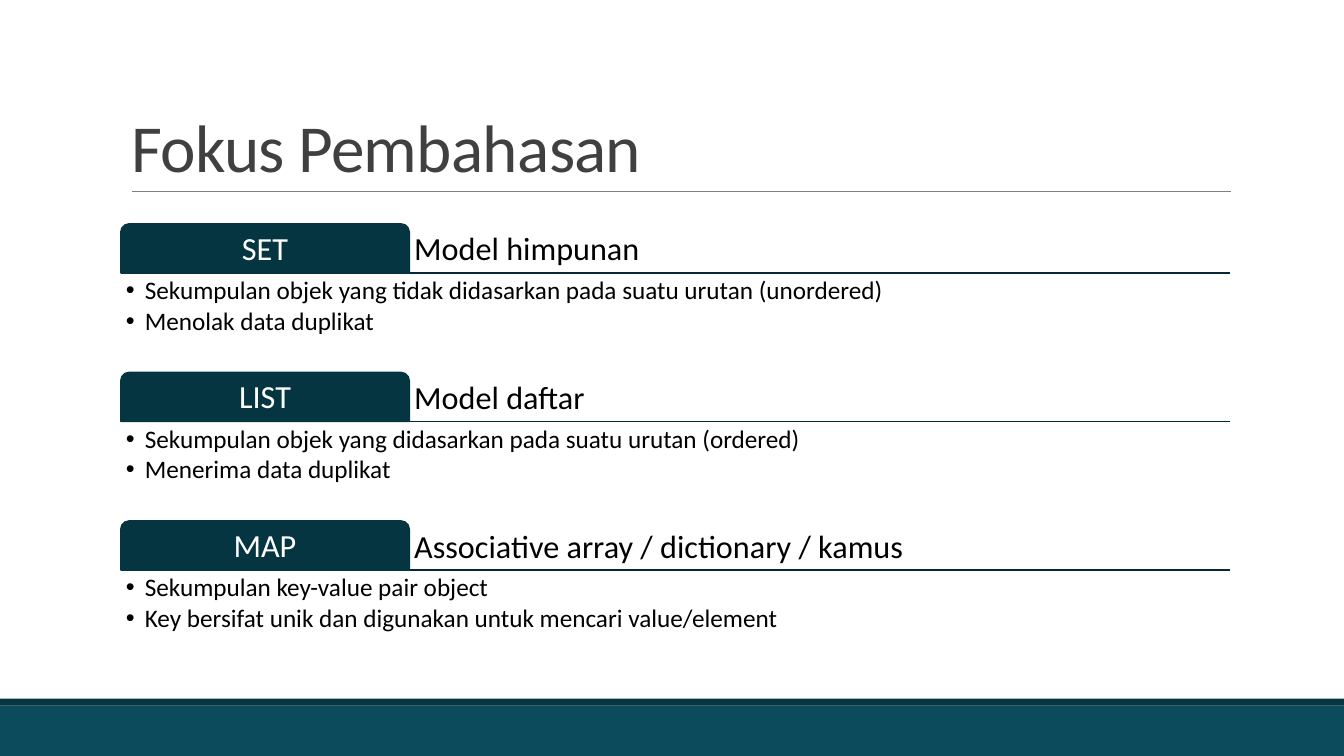
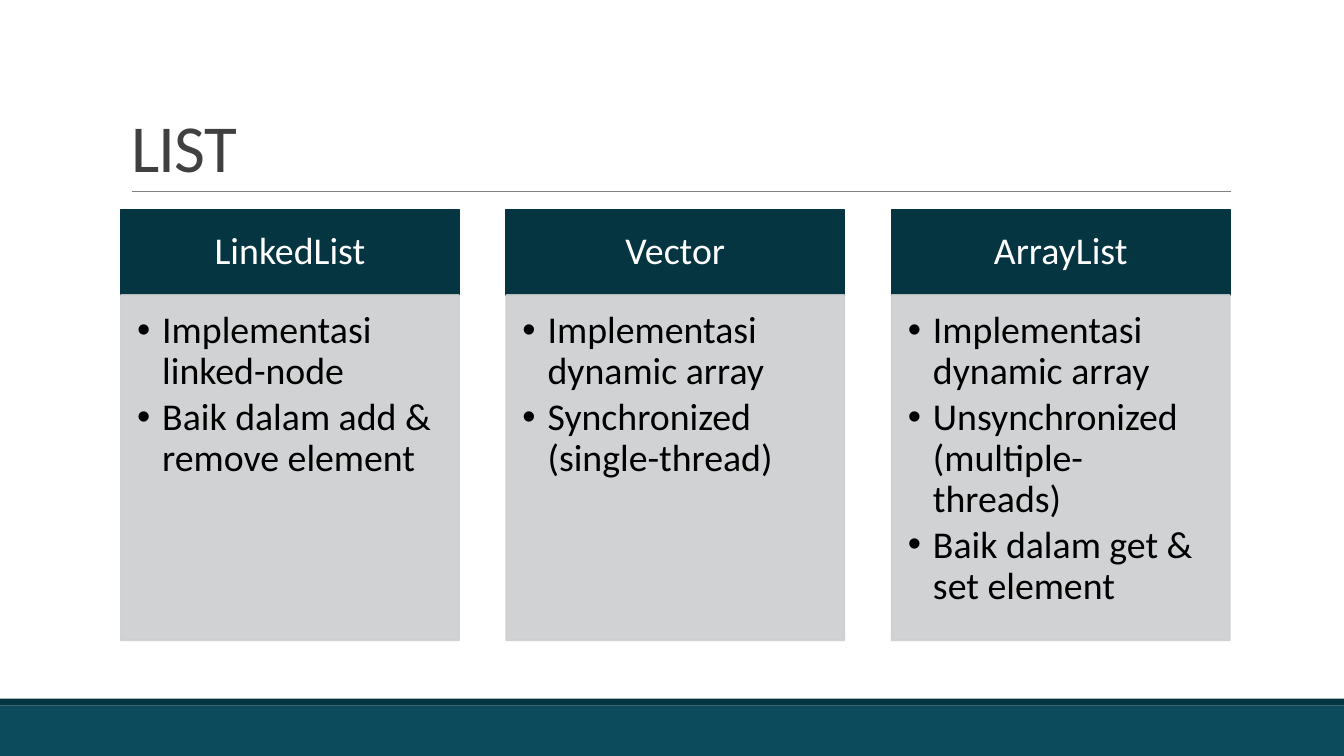
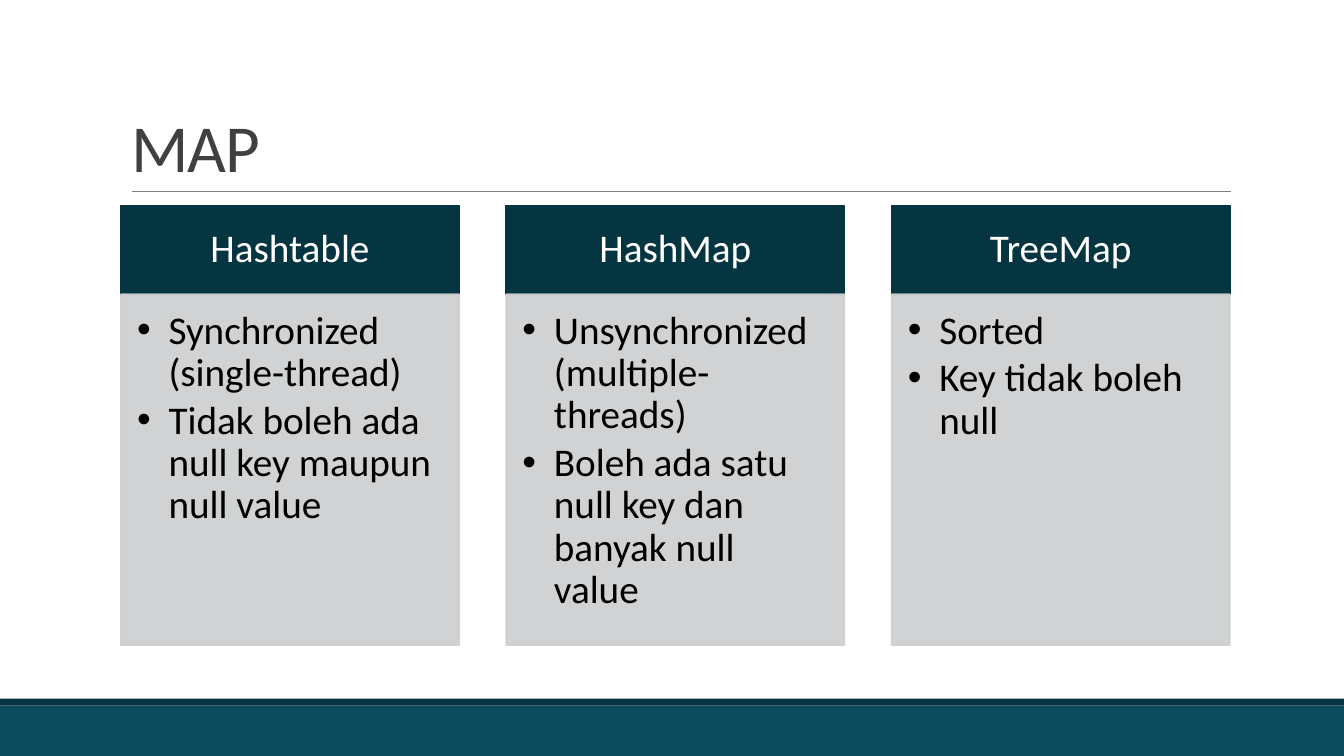
"""Build three slides about sets, lists and maps with python-pptx."""
from dataclasses import dataclass

from lxml import etree
from pptx import Presentation
from pptx.dml.color import RGBColor
from pptx.enum.shapes import MSO_CONNECTOR, MSO_SHAPE
from pptx.enum.text import MSO_ANCHOR, MSO_AUTO_SIZE, PP_ALIGN
from pptx.oxml.ns import qn
from pptx.util import Pt

RECTANGLE = MSO_SHAPE.RECTANGLE
TAB = MSO_SHAPE.ROUND_2_SAME_RECTANGLE
STRAIGHT = MSO_CONNECTOR.STRAIGHT
TOP, MIDDLE, BOTTOM = MSO_ANCHOR.TOP, MSO_ANCHOR.MIDDLE, MSO_ANCHOR.BOTTOM
LEFT, CENTER = PP_ALIGN.LEFT, PP_ALIGN.CENTER
NO_AUTOFIT = MSO_AUTO_SIZE.NONE

COLORS = {
    "band": "0C4B5C",
    "dark": "063542",
    "section_line": "052A35",
    "rule": "808080",
    "title": "404040",
    "panel": "CCCECF",
    "text": "000000",
    "light": "FFFFFF",
}
FONT = "Calibri"
SLIDE_WIDTH, SLIDE_HEIGHT = 960, 540
CONTENT_LEFT, CONTENT_WIDTH = 86.4, 792
TAB_WIDTH, TAB_HEIGHT = 205.92, 34.9
SECTION_TOP, SECTION_PITCH = 160, 106.1
GAP_RATIO = 0.14
COLUMN_COUNT = 3
COLUMN_WIDTH = CONTENT_WIDTH / (COLUMN_COUNT + (COLUMN_COUNT - 1) * GAP_RATIO)
COLUMN_PITCH = COLUMN_WIDTH * (1 + GAP_RATIO)


@dataclass
class Section:
    """A tab with its heading and bullet points."""
    name: str
    heading: str
    points: list[str]


@dataclass
class Column:
    """A header with the bullet points below it."""
    name: str
    points: list[str]


@dataclass
class ColumnSlide:
    """A slide of equal columns and its measurements."""
    title: str
    top: float
    header_height: float
    body_height: float
    size: float
    hanging: float
    side_inset: float
    columns: list[Column]


SECTIONS = [
    Section("SET", "Model himpunan", [
        "Sekumpulan objek yang tidak didasarkan pada suatu urutan (unordered)",
        "Menolak data duplikat"]),
    Section("LIST", "Model daftar", [
        "Sekumpulan objek yang didasarkan pada suatu urutan (ordered)",
        "Menerima data duplikat"]),
    Section("MAP", "Associative array / dictionary / kamus", [
        "Sekumpulan key-value pair object",
        "Key bersifat unik dan digunakan untuk mencari value/element"]),
]

COLUMN_SLIDES = [
    ColumnSlide("LIST", 149.6, 61.2, 246.6, 27, 18, 15.1, [
        Column("LinkedList", ["Implementasi linked-node",
                              "Baik dalam add & remove element"]),
        Column("Vector", ["Implementasi dynamic array",
                          "Synchronized (single-thread)"]),
        Column("ArrayList", ["Implementasi dynamic array",
                             "Unsynchronized (multiple-threads)",
                             "Baik dalam get & set element"])]),
    ColumnSlide("MAP", 146.8, 63.4, 250.6, 28, 22.5, 15.7, [
        Column("Hashtable", ["Synchronized (single-thread)",
                             "Tidak boleh ada null key maupun null value"]),
        Column("HashMap", ["Unsynchronized (multiple-threads)",
                           "Boleh ada satu null key dan banyak null value"]),
        Column("TreeMap", ["Sorted", "Key tidak boleh null"])]),
]


def write_text(shape, lines: list[str], *, size: float, color: str = "text",
               align=LEFT, anchor=TOP, insets=(3.6, 3.6, 3.6, 3.6),
               line_spacing: float = 0.9, hanging: float = 0,
               tracking: float = 0) -> None:
    """Fill a shape with paragraphs, bulleted where a hanging indent is given."""
    frame = shape.text_frame
    frame.word_wrap = True
    frame.auto_size = NO_AUTOFIT
    frame.vertical_anchor = anchor
    (frame.margin_left, frame.margin_top,
     frame.margin_right, frame.margin_bottom) = map(Pt, insets)
    for index, line in enumerate(lines):
        paragraph = frame.add_paragraph() if index else frame.paragraphs[0]
        paragraph.alignment = align
        paragraph.line_spacing = line_spacing
        run = paragraph.add_run()
        run.text = line
        run.font.name = FONT
        run.font.size = Pt(size)
        run.font.color.rgb = RGBColor.from_string(COLORS[color])
        if tracking:
            run.font._element.set("spc", str(round(tracking * 100)))
        if hanging:
            paragraph.space_after = Pt(round(size * 0.135, 1))
            properties = paragraph._p.get_or_add_pPr()
            properties.set("marL", str(Pt(hanging)))
            properties.set("indent", str(-Pt(hanging)))
            etree.SubElement(properties, qn("a:buFont")).set("typeface", "Arial")
            etree.SubElement(properties, qn("a:buChar")).set("char", "•")


def add_box(slide, left: float, top: float, width: float, height: float,
            color: str, *, kind=RECTANGLE, outlined: bool = True,
            opacity: int = 100):
    """Add a filled shape, outlined in its own colour if asked."""
    shape = slide.shapes.add_shape(kind, Pt(left), Pt(top), Pt(width), Pt(height))
    shape.shadow.inherit = False
    shape.fill.solid()
    shape.fill.fore_color.rgb = RGBColor.from_string(COLORS[color])
    if outlined:
        shape.line.color.rgb = RGBColor.from_string(COLORS[color])
        shape.line.width = Pt(1.25)
    else:
        shape.line.fill.background()
    if opacity < 100:
        for color_element in shape.element.spPr.iter(qn("a:srgbClr")):
            alpha = etree.SubElement(color_element, qn("a:alpha"))
            alpha.set("val", str(opacity * 1000))
    return shape


def add_text_box(slide, left: float, top: float, width: float, height: float,
                 lines: list[str], **text_format) -> None:
    """Add a text box with formatted paragraphs."""
    shape = slide.shapes.add_textbox(Pt(left), Pt(top), Pt(width), Pt(height))
    write_text(shape, lines, **text_format)


def add_horizontal_line(slide, left: float, top: float, width: float,
                        color: str, weight: float) -> None:
    """Add a horizontal line without a shadow."""
    connector = slide.shapes.add_connector(
        STRAIGHT, Pt(left), Pt(top), Pt(left + width), Pt(top))
    connector.line.color.rgb = RGBColor.from_string(COLORS[color])
    connector.line.width = Pt(weight)
    etree.SubElement(connector._element.spPr, qn("a:effectLst"))


def add_titled_slide(presentation, title_text: str):
    """Add a slide with the shared bands, rule and title style."""
    slide = presentation.slides.add_slide(presentation.slide_layouts[5])
    add_box(slide, 0, 504, SLIDE_WIDTH, 36, "band", outlined=False)
    add_box(slide, 0, 499, SLIDE_WIDTH, 5, "dark", outlined=False)
    add_horizontal_line(slide, 94, 136.8, 785, "rule", 0.5)
    title = slide.shapes.title
    title.left, title.top = Pt(CONTENT_LEFT), Pt(22.5)
    title.width, title.height = Pt(CONTENT_WIDTH), Pt(114.3)
    write_text(title, [title_text], size=48, color="title", anchor=BOTTOM,
               insets=(7.2, 3.6, 7.2, 3.6), line_spacing=0.85, tracking=-0.5)
    return slide


def draw_section(slide, section: Section, top: float) -> None:
    """Draw a tab, its heading on a line and the points below."""
    line_top = top + TAB_HEIGHT
    add_horizontal_line(slide, CONTENT_LEFT, line_top, CONTENT_WIDTH,
                        "section_line", 1.25)
    add_text_box(slide, CONTENT_LEFT + TAB_WIDTH, top,
                 CONTENT_WIDTH - TAB_WIDTH, TAB_HEIGHT, [section.heading],
                 size=23, anchor=BOTTOM)
    tab = add_box(slide, CONTENT_LEFT, top, TAB_WIDTH, TAB_HEIGHT, "dark", kind=TAB)
    write_text(tab, [section.name], size=23, color="light", align=CENTER,
               anchor=MIDDLE)
    add_text_box(slide, CONTENT_LEFT, line_top, CONTENT_WIDTH, 69.8,
                 section.points, size=18, hanging=13.5)


def draw_column(slide, column: Column, layout: ColumnSlide, left: float) -> None:
    """Draw a column header and the panel of points below it."""
    side = layout.side_inset
    header = add_box(slide, left, layout.top, COLUMN_WIDTH,
                     layout.header_height, "dark")
    write_text(header, [column.name], size=layout.size, color="light",
               align=CENTER, anchor=MIDDLE, insets=(side, 8.6, side, 8.6))
    panel = add_box(slide, left, layout.top + layout.header_height, COLUMN_WIDTH,
                    layout.body_height, "panel", opacity=90)
    write_text(panel, column.points, size=layout.size, hanging=layout.hanging,
               insets=(11.5, 11.5, side, 17.3))


def main() -> None:
    """Build and save the presentation."""
    presentation = Presentation()
    presentation.slide_width = Pt(SLIDE_WIDTH)
    presentation.slide_height = Pt(SLIDE_HEIGHT)
    slide = add_titled_slide(presentation, "Fokus Pembahasan")
    for index, section in enumerate(SECTIONS):
        draw_section(slide, section, SECTION_TOP + index * SECTION_PITCH)
    for layout in COLUMN_SLIDES:
        slide = add_titled_slide(presentation, layout.title)
        for index, column in enumerate(layout.columns):
            draw_column(slide, column, layout, CONTENT_LEFT + index * COLUMN_PITCH)
    presentation.save("out.pptx")


if __name__ == "__main__":
    main()
